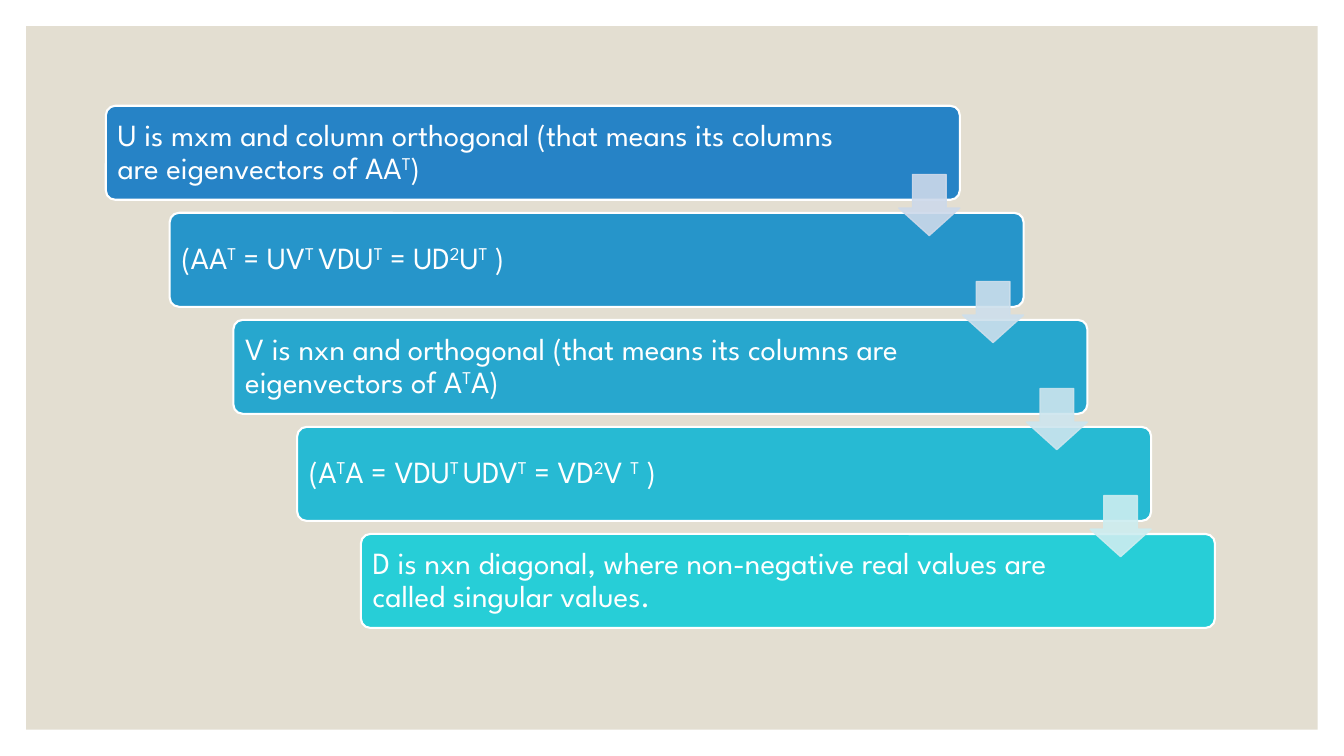
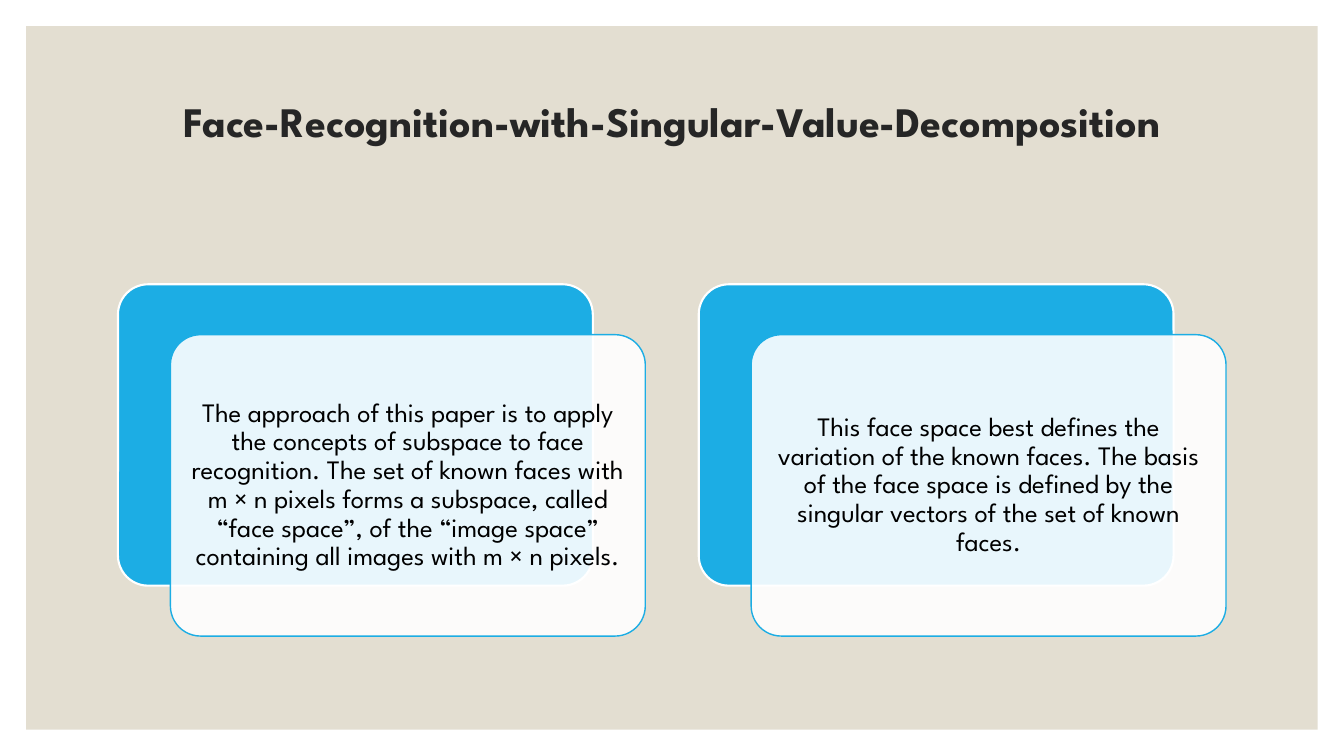
from lxml import etree
from pptx import Presentation
from pptx import util as u
from pptx.dml.color import RGBColor
from pptx.enum import shapes, text
from pptx.oxml.ns import qn

FONT = "League Spartan"
WHITE, BLACK, INK = "FFFFFF", "000000", "262626"
SAND, BLUE = "E3DED1", "1CADE4"
WIDTH, HEIGHT = 13.33, 7.5

STEPS = [
    ("U is mxm and column orthogonal (that means its columns are eigenvectors of AA^T^)", "2683C6", "CDD9EA"),
    ("(AA^T^ = UV^T ^VDU^T^ = UD^2^U^T^ )", "2695CA", "CDDFEC"),
    ("V is nxn and orthogonal (that means its columns are eigenvectors of A^T^A)", "27A7CE", "CDE5EE"),
    ("(A^T^A = VDU^T ^UDV^T^ = VD^2^V ^T^ )", "27BAD3", "CDEDF0"),
    ("D is nxn diagonal, where non-negative real values are called singular values.", "27CED7", None),
]
TITLE = "Face-Recognition-with-Singular-Value-Decomposition"
POINTS = [
    "The approach of this paper is to apply the concepts of subspace to face recognition. The set of known "
    "faces with m × n pixels forms a subspace, called “face space”, of the “image space” containing all "
    "images with m × n pixels.",
    "This face space best defines the variation of the known faces. The basis of the face space is defined "
    "by the singular vectors of the set of known faces.",
]


def rgb(value):
    """Turn a hex string into a colour."""
    return RGBColor.from_string(value)


def add_box(page, kind, box, fill, line=None, weight=1, adjust=()):
    """Add a filled preset shape in a box of inches."""
    shape = page.shapes.add_shape(kind, *map(u.Inches, box))
    shape.shadow.inherit = False
    shape.fill.solid()
    shape.fill.fore_color.rgb = rgb(fill)
    if line:
        shape.line.color.rgb = rgb(line)
        shape.line.width = u.Pt(weight)
    else:
        shape.line.fill.background()
    for index, value in enumerate(adjust):
        shape.adjustments[index] = value
    return shape


def add_card(page, box, fill, line, weight):
    """Add a rounded card."""
    return add_box(page, shapes.MSO_SHAPE.ROUNDED_RECTANGLE, box, fill, line, weight, (0.1,))


def fade(shape, parts):
    """Make the fill, or the fill and the line, ten percent transparent."""
    for colour in list(shape.element.spPr.iter(qn("a:srgbClr")))[:parts]:
        etree.SubElement(colour, qn("a:alpha")).set("val", "90000")


def write(shape, words, size, colour, align, insets, bold=False):
    """Write one paragraph, with superscripts between carets."""
    frame = shape.text_frame
    frame.word_wrap = True
    frame.auto_size = text.MSO_AUTO_SIZE.NONE
    frame.vertical_anchor = text.MSO_ANCHOR.MIDDLE
    frame.margin_left, frame.margin_top, frame.margin_right, frame.margin_bottom = map(u.Inches, insets)
    para = frame.paragraphs[0]
    para.alignment = align
    para.line_spacing = 0.9
    para.font.name, para.font.size, para.font.bold = FONT, u.Pt(size), bold
    para.font.color.rgb = rgb(colour)
    for part in words.split("^"):
        para.add_run().text = part
    for span in list(shape.element.iter(qn("a:r")))[1::2]:
        span.get_or_add_rPr().set("baseline", "30000")


def add_backdrop(deck, page):
    """Put the sand panel behind every slide, on the master."""
    margin = 0.26
    box = (margin, margin, WIDTH - 2 * margin, HEIGHT - 2 * margin)
    panel = add_box(page, shapes.MSO_SHAPE.RECTANGLE, box, SAND)
    deck.slide_master.shapes.element.insert(2, panel.element)


def add_staircase(page, box, steps):
    """Fill a box with descending cards joined by arrows."""
    left, top, width, height = box
    card_width, card_height = 0.77 * width, 0.18 * height
    across = (width - card_width) / (len(steps) - 1)
    down = (height - card_height) / (len(steps) - 1)
    side = 0.65 * card_height
    for index, (words, fill, _) in enumerate(steps):
        place = (left + index * across, top + index * down, card_width, card_height)
        card = add_card(page, place, fill, WHITE, 1.5)
        write(card, words, 22, WHITE, text.PP_ALIGN.LEFT, (0.09, 0.09, 1.15, 0.09))
    for index, (_, _, tint) in enumerate(steps[:-1]):
        place = (left + index * across + card_width - side,
                 top + index * down + 0.73 * card_height, side, side)
        arrow = add_box(page, shapes.MSO_SHAPE.DOWN_ARROW, place, tint, tint, 1)
        arrow.adjustments[0], arrow.adjustments[1] = 0.45, 0.55
        arrow.adjustments[0], arrow.adjustments[1] = 0.55, 0.45
        fade(arrow, 2)


def add_pairs(page, box, points):
    """Fill a box with equal columns of overlapping cards."""
    left, top, width, height = box
    shift_x, shift_y = 0.52, 0.5
    pitch = 5.76
    card_width = width - pitch * (len(points) - 1) - shift_x
    card_height = height - shift_y
    for index, words in enumerate(points):
        x = left + index * pitch
        add_card(page, (x, top, card_width, card_height), BLUE, WHITE, 1.5)
        front = add_card(page, (x + shift_x, top + shift_y, card_width, card_height), WHITE, BLUE, 1)
        fade(front, 1)
        write(front, words, 19, BLACK, text.PP_ALIGN.CENTER, (0.08,) * 4)


def add_title(page, box, words):
    """Place and format the title placeholder."""
    title = page.shapes.title
    title.left, title.top, title.width, title.height = map(u.Inches, box)
    write(title, words, 30, INK, text.PP_ALIGN.CENTER, (0.1, 0.05, 0.1, 0.5), True)


def main():
    """Build and save the deck."""
    deck = Presentation()
    deck.slide_width, deck.slide_height = u.Inches(WIDTH), u.Inches(HEIGHT)
    title_only, blank = deck.slide_layouts[5], deck.slide_layouts[6]

    page = deck.slides.add_slide(blank)
    add_backdrop(deck, page)
    add_staircase(page, (1.05, 1.05, 11, 5.18), STEPS)

    page = deck.slides.add_slide(title_only)
    add_title(page, (1.17, 0.7, 11, 1.5), TITLE)
    add_pairs(page, (1.17, 2.82, 10.99, 3.49), POINTS)
    deck.save("out.pptx")


if __name__ == "__main__":
    main()
